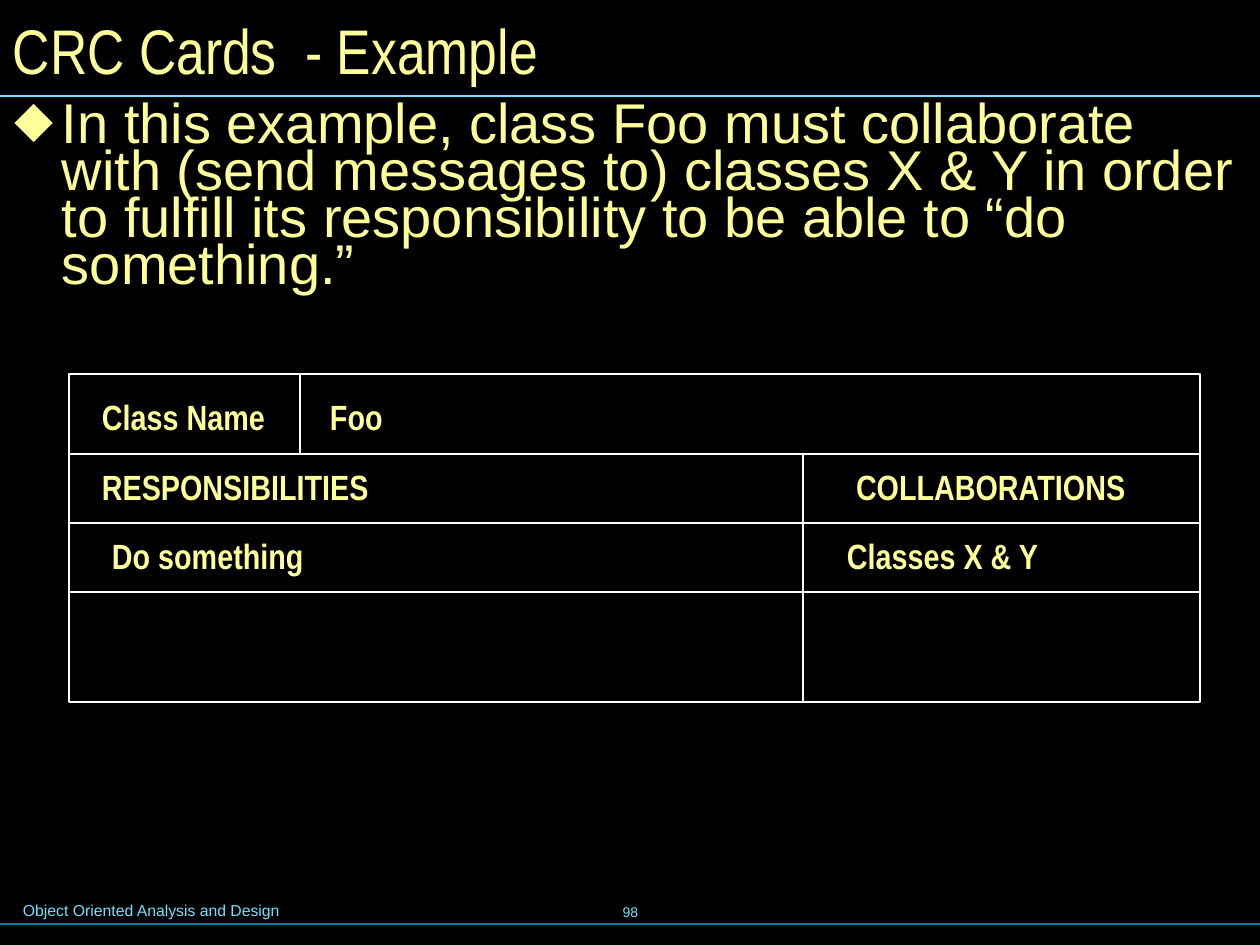
"""Build the CRC card example slide."""
import lxml.etree
import pptx
import pptx.dml.color
import pptx.enum.shapes
import pptx.enum.text
import pptx.oxml.ns
import pptx.util

SCALE = 914400 / 126
COLORS = {"ground": "000000", "text": "FFFF99", "footer": "73E1FF",
          "base": "007E9F", "card": "FFFFFF"}
ALIGN = pptx.enum.text.PP_ALIGN
ANCHOR = pptx.enum.text.MSO_ANCHOR
FONTS = {
    "title": {"size": 36, "name": "Arial Narrow", "bold": False},
    "body": {"size": 32, "name": "Arial", "bold": False},
    "label": {"size": 20, "name": "Arial Narrow", "bold": True},
    "footer": {"size": 9, "name": "Arial", "bold": False},
    "number": {"size": 8, "name": "Arial", "bold": False},
}


def px(n):
    """Turn px into EMU."""
    return pptx.util.Emu(round(n * SCALE))


def rgb(key):
    """Look up a named colour."""
    return pptx.dml.color.RGBColor.from_string(COLORS[key])


def apply(obj, values):
    """Set each attribute of an object from a dict."""
    for name, value in values.items():
        setattr(obj, name, value)


class Deck:
    """Holds the style and the current slide."""

    def __init__(self, width, height):
        """Start a deck with one dark slide."""
        self.prs = pptx.Presentation()
        apply(self.prs, {"slide_width": px(width), "slide_height": px(height)})
        self.s = self.prs.slides.add_slide(self.prs.slide_layouts[1])
        fill = self.s.background.fill
        fill.solid()
        fill.fore_color.rgb = rgb("ground")

    def fill_text(self, sp, text, style, color="text", inset=(13, 6), spacing=1.0,
                  align=ALIGN.LEFT, anchor=ANCHOR.TOP, wrap=True):
        """Fill a shape with one formatted paragraph."""
        tf = sp.text_frame
        x, y = map(px, inset)
        apply(tf, {"text": text, "word_wrap": wrap, "vertical_anchor": anchor,
                   "auto_size": pptx.enum.text.MSO_AUTO_SIZE.NONE,
                   "margin_left": x, "margin_right": x,
                   "margin_top": y, "margin_bottom": y})
        p = tf.paragraphs[0]
        apply(p, {"alignment": align, "line_spacing": spacing,
                  "space_before": pptx.util.Pt(0)})
        font = p.runs[0].font
        apply(font, {**FONTS[style], "size": pptx.util.Pt(FONTS[style]["size"])})
        font.color.rgb = rgb(color)
        return p

    def placeholder(self, idx, box, text, style, **options):
        """Move and fill a template placeholder."""
        sp = self.s.placeholders[idx]
        apply(sp, dict(zip(("left", "top", "width", "height"), map(px, box))))
        return self.fill_text(sp, text, style, **options)

    def bullet(self, p, char, indent, color="text"):
        """Give a paragraph a coloured hanging bullet."""
        qn = pptx.oxml.ns.qn
        pPr = p._p.get_or_add_pPr()
        pPr.set("marL", str(px(indent)))
        pPr.set("indent", str(-px(indent)))
        clr = lxml.etree.SubElement(pPr, qn("a:buClr"))
        lxml.etree.SubElement(clr, qn("a:srgbClr"), val=COLORS[color])
        lxml.etree.SubElement(pPr, qn("a:buChar"), char=char)

    def text(self, box, text, style, **options):
        """Add a text box."""
        sp = self.s.shapes.add_textbox(*map(px, box))
        return self.fill_text(sp, text, style, **options)

    def outline(self, box, color):
        """Add an unfilled rectangle."""
        sp = self.s.shapes.add_shape(
            pptx.enum.shapes.MSO_SHAPE.RECTANGLE, *map(px, box))
        sp.shadow.inherit = False
        sp.fill.background()
        self.stroke(sp, color)

    def line(self, x1, y1, x2, y2, color):
        """Add a straight line."""
        sp = self.s.shapes.add_connector(
            pptx.enum.shapes.MSO_CONNECTOR.STRAIGHT, *map(px, (x1, y1, x2, y2)))
        self.stroke(sp, color)
        lxml.etree.SubElement(sp._element.spPr, pptx.oxml.ns.qn("a:effectLst"))

    def stroke(self, sp, color):
        """Set a thin line in a named colour."""
        sp.line.color.rgb = rgb(color)
        sp.line.width = pptx.util.Pt(0.75)


def main():
    """Lay out the slide and save it."""
    deck = Deck(1260, 945)
    deck.text((10, 895, 643, 32), "Object Oriented Analysis and Design",
              "footer", color="footer")
    deck.text((431, 880, 399, 63), "98", "number", color="footer",
              align=ALIGN.CENTER, anchor=ANCHOR.MIDDLE, wrap=False)
    deck.line(0, 924, 1260, 924, "base")
    deck.line(0, 96, 1260, 96, "footer")

    deck.placeholder(0, (0, 0, 1260, 98), "CRC Cards  - Example", "title",
                     anchor=ANCHOR.MIDDLE)
    p = deck.placeholder(
        1, (0, 98, 1260, 217),
        "In this example, class Foo must collaborate with (send messages to) "
        "classes X & Y in order to fulfill its responsibility to be able to "
        "“do something.”", "body", inset=(15, 8), spacing=0.7)
    deck.bullet(p, "⬥", 47)

    left, top, right, bottom = 69, 374, 1200, 702
    rows = (454, 523, 592)
    deck.outline((left, top, right - left, bottom - top), "card")
    for y in rows:
        deck.line(left, y, right, y, "card")
    deck.line(300, top, 300, rows[0], "card")
    deck.line(803, rows[0], 803, bottom, "card")

    labels = (
        (89, 394, 188, "Class Name"),
        (317, 394, 358, "Foo"),
        (89, 464, 292, "RESPONSIBILITIES"),
        (843, 464, 296, "COLLABORATIONS"),
        (99, 533, 217, "Do something"),
        (834, 533, 217, "Classes X & Y"),
    )
    for x, y, width, text in labels:
        deck.text((x, y, width, 50), text, "label", spacing=0.9, wrap=text == "Foo")
    deck.prs.save("out.pptx")


if __name__ == "__main__":
    main()
